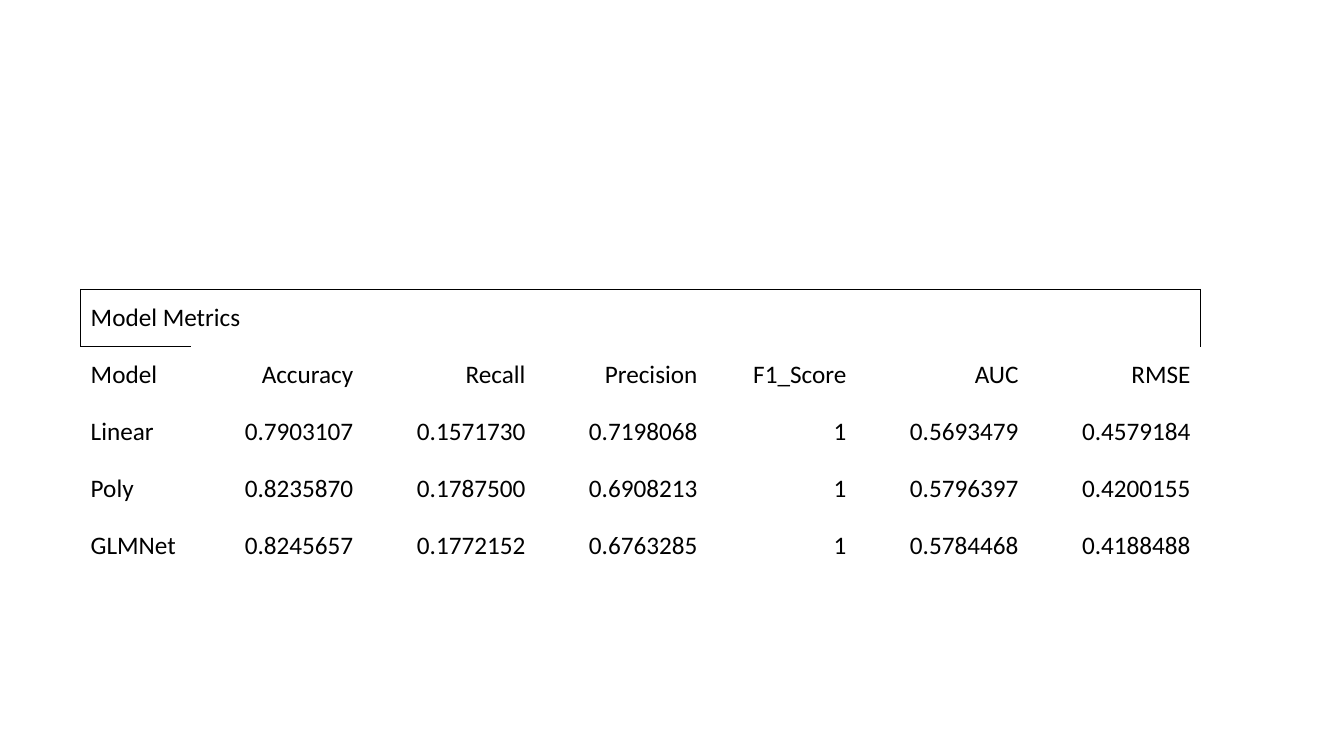
from dataclasses import dataclass

from lxml.etree import SubElement
from pptx import Presentation
from pptx.dml.color import RGBColor
from pptx.enum.text import MSO_ANCHOR, PP_ALIGN
from pptx.oxml.ns import qn
from pptx.util import Inches, Pt


@dataclass(frozen=True)
class Theme:
    font: str = "Calibri"
    size: int = 18
    ink: str = "000000"
    border: float = 0.75


THEME = Theme()
TITLE = "Model Metrics"
METRICS = [
    ["Model", "Accuracy", "Recall", "Precision", "F1_Score", "AUC", "RMSE"],
    ["Linear", "0.7903107", "0.1571730", "0.7198068", "1", "0.5693479", "0.4579184"],
    ["Poly", "0.8235870", "0.1787500", "0.6908213", "1", "0.5796397", "0.4200155"],
    ["GLMNet", "0.8245657", "0.1772152", "0.6763285", "1", "0.5784468", "0.4188488"],
]
COLUMN_WIDTHS = [1.1, 1.71, 1.71, 1.71, 1.48, 1.71, 1.71]


def set_borders(cell, sides):
    """Draw the named sides (letters of LRTB) and clear the others."""
    tcPr = cell._tc.get_or_add_tcPr()
    for side in "LRTB":
        ln = SubElement(tcPr, qn(f"a:ln{side}"), w=str(Pt(THEME.border)))
        if side in sides:
            fill = SubElement(ln, qn("a:solidFill"))
            SubElement(fill, qn("a:srgbClr"), val=THEME.ink)
        else:
            SubElement(ln, qn("a:noFill"))


def title_sides(col, last):
    """The title row is boxed, with its lower edge under the first column only."""
    if col == 0:
        return "LRTB"
    return "TR" if col == last else "T"


def fill_cell(cell, text, align):
    cell.vertical_anchor = MSO_ANCHOR.MIDDLE
    cell.fill.background()
    p = cell.text_frame.paragraphs[0]
    p.text = text
    p.alignment = align
    for r in p.runs:
        r.font.name = THEME.font
        r.font.size = Pt(THEME.size)
        r.font.bold = False
        r.font.color.rgb = RGBColor.from_string(THEME.ink)


def add_metrics_table(s, left, top, width, height):
    last = len(COLUMN_WIDTHS) - 1
    rows = [[TITLE] + [""] * last] + METRICS
    table = s.shapes.add_table(len(rows), last + 1, Inches(left), Inches(top),
                               Inches(width), Inches(height)).table
    table.first_row = table.horz_banding = False
    scale = width / sum(COLUMN_WIDTHS)
    for column, share in zip(table.columns, COLUMN_WIDTHS):
        column.width = Inches(share * scale)

    for i, row in enumerate(rows):
        for j, text in enumerate(row):
            cell = table.cell(i, j)
            if i == 0:
                sides = title_sides(j, last)
            else:
                sides = "T" if (i, j) == (1, 0) else ""
            set_borders(cell, sides)
            fill_cell(cell, text, PP_ALIGN.RIGHT if j else PP_ALIGN.LEFT)
    table.cell(0, 0).merge(table.cell(0, last))


def main():
    prs = Presentation()
    prs.slide_width, prs.slide_height = Inches(13.33), Inches(7.5)
    s = prs.slides.add_slide(prs.slide_layouts[6])
    add_metrics_table(s, 0.8, 2.87, 11.11, 2.83)
    prs.save("out.pptx")


if __name__ == "__main__":
    main()
